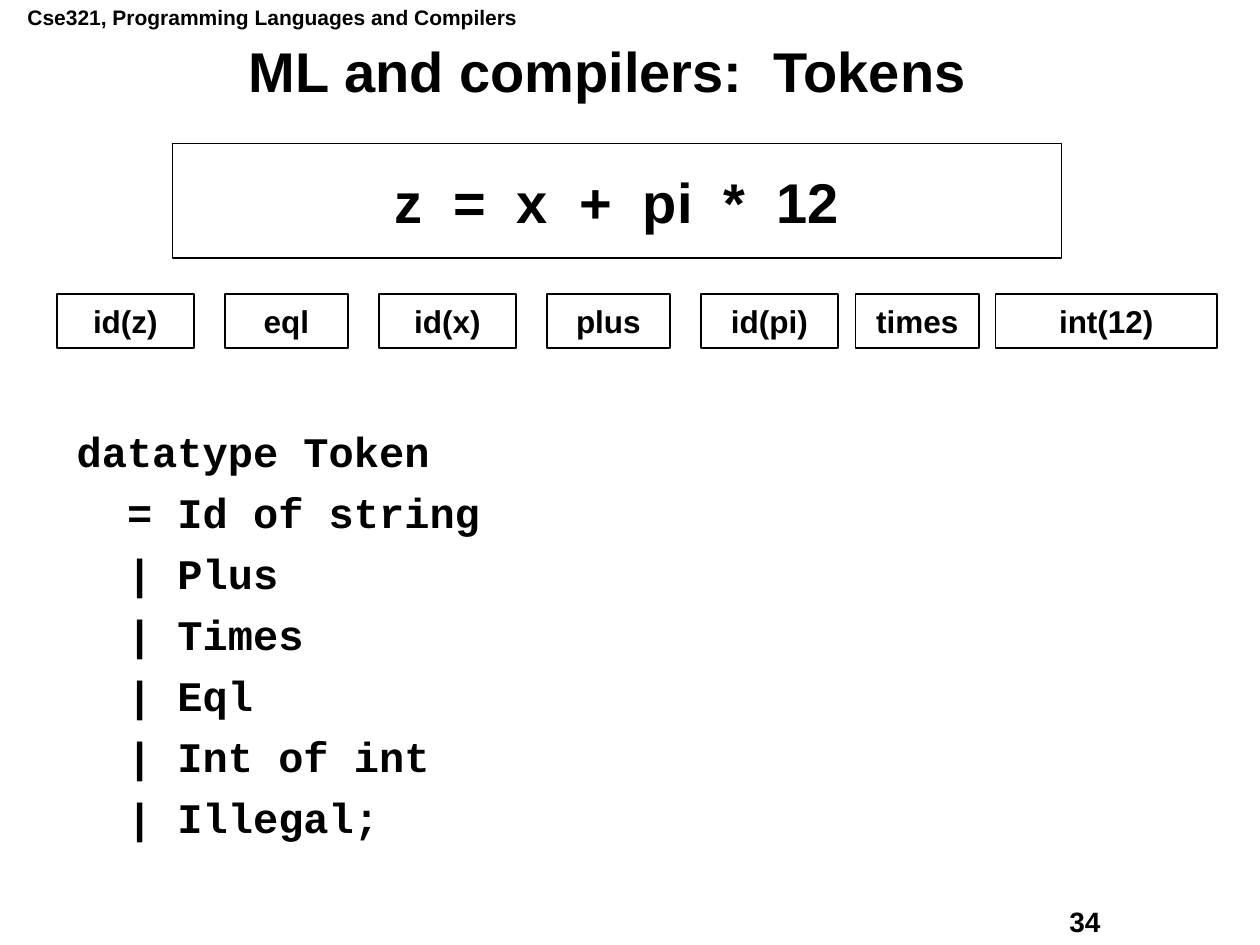
from dataclasses import dataclass

from pptx import Presentation
from pptx.dml.color import RGBColor
from pptx.enum.shapes import MSO_SHAPE as Shape
from pptx.enum.text import MSO_ANCHOR as Anchor, PP_ALIGN as Align
from pptx.util import Pt


@dataclass(frozen=True)
class Theme:
    ink: RGBColor = RGBColor(0x00, 0x00, 0x00)
    paper: RGBColor = RGBColor(0xFF, 0xFF, 0xFF)
    sans: str = "Arial"
    mono: str = "Courier New"
    display: int = 32
    code: int = 24
    token: int = 18
    number: int = 16
    header: int = 12
    rule: int = 1


THEME = Theme()
TITLE_ONLY = 5

# Token label and box width, then the gap that follows each box
TOKENS = [("id(z)", 78.5, 17.5), ("eql", 70.5, 17.5), ("id(x)", 78.5, 17.5),
          ("plus", 70.5, 17.5), ("id(pi)", 78.5, 10), ("times", 70.5, 9.5),
          ("int(12)", 126.5, 0)]

DATATYPE = ["datatype Token",
            "  = Id of string",
            "  | Plus",
            "  | Times",
            "  | Eql",
            "  | Int of int",
            "  | Illegal;"]


def write(frame, lines, size, font=THEME.sans, anchor=Anchor.TOP, wrap=True, **layout):
    """Fill a frame with bold lines; layout holds paragraph settings."""
    frame.word_wrap = wrap
    frame.vertical_anchor = anchor
    for index, line in enumerate(lines):
        paragraph = frame.add_paragraph() if index else frame.paragraphs[0]
        paragraph.text = line
        for name, value in layout.items():
            if index or name != "space_before":
                setattr(paragraph, name, value)
        for name, value in {"name": font, "size": Pt(size), "bold": True}.items():
            setattr(paragraph.font, name, value)
        paragraph.font.color.rgb = THEME.ink


def add_label(slide, box, text, size):
    label = slide.shapes.add_textbox(*map(Pt, box))
    write(label.text_frame, [text], size)


def place_title(slide, box, text):
    title = slide.shapes.title
    for name, value in zip(("left", "top", "width", "height"), box):
        setattr(title, name, Pt(value))
    write(title.text_frame, [text], THEME.display, anchor=Anchor.MIDDLE,
          alignment=Align.CENTER, line_spacing=0.9)


def add_framed_text(slide, box, text, size):
    frame = slide.shapes.add_shape(Shape.RECTANGLE, *map(Pt, box))
    frame.shadow.inherit = False
    frame.fill.solid()
    frame.fill.fore_color.rgb = THEME.paper
    frame.line.color.rgb = THEME.ink
    frame.line.width = Pt(THEME.rule)
    write(frame.text_frame, [text], size, anchor=Anchor.MIDDLE, wrap=False,
          alignment=Align.CENTER)


def add_token_row(slide, box):
    left, top, _, height = box
    for label, width, gap in TOKENS:
        add_framed_text(slide, (left, top, width, height), label, THEME.token)
        left += width + gap


def add_datatype(slide, box):
    code = slide.shapes.add_textbox(*map(Pt, box))
    write(code.text_frame, DATATYPE, THEME.code, THEME.mono,
          line_spacing=0.9, space_before=Pt(9))


def main():
    deck = Presentation()
    deck.slide_width, deck.slide_height = Pt(720), Pt(540)
    slide = deck.slides.add_slide(deck.slide_layouts[TITLE_ONLY])

    # Running header and page number
    add_label(slide, (8.6, -0.7, 320, 21.6),
              "Cse321, Programming Languages and Compilers", THEME.header)
    add_label(slide, (604, 513.4, 91.5, 26), "34", THEME.number)

    # Title, then the expression split into tokens
    place_title(slide, (22.3, 22.3, 650, 40.3), "ML and compilers:  Tokens")
    add_datatype(slide, (36.7, 242.6, 642, 250))
    add_token_row(slide, (32.4, 168, 663, 31))
    add_framed_text(slide, (98.6, 82, 508, 65.5), "z  =  x  +  pi  *  12",
                    THEME.display)

    deck.save("out.pptx")


if __name__ == "__main__":
    main()
